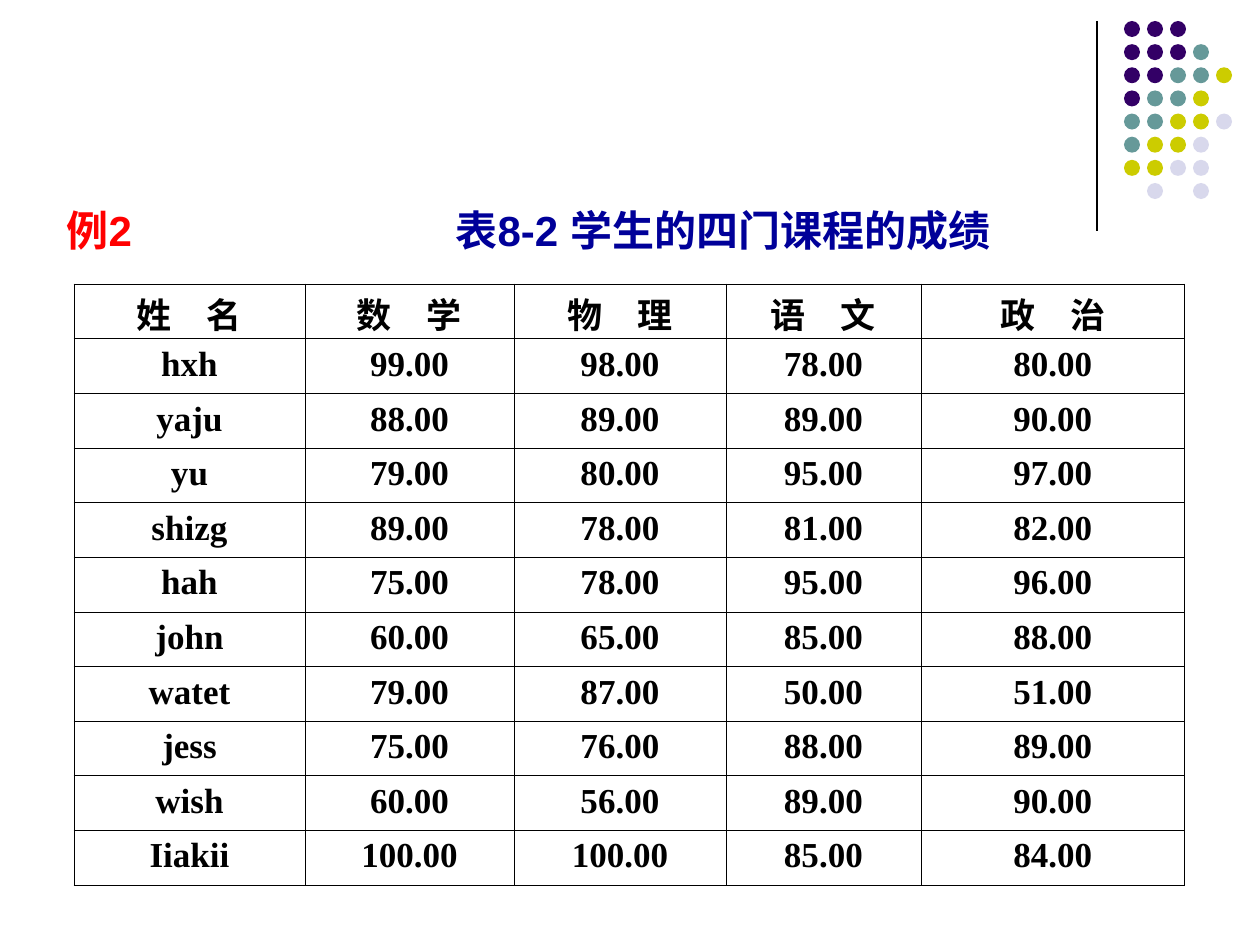
from lxml import etree
from pptx import Presentation
from pptx.dml.color import RGBColor
from pptx.enum.shapes import MSO_CONNECTOR, MSO_SHAPE
from pptx.enum.text import MSO_ANCHOR, MSO_AUTO_SIZE, PP_ALIGN
from pptx.oxml.ns import qn
from pptx.util import Pt

STRAIGHT = MSO_CONNECTOR.STRAIGHT
OVAL = MSO_SHAPE.OVAL
MIDDLE = MSO_ANCHOR.MIDDLE
NO_AUTOFIT = MSO_AUTO_SIZE.NONE
LEFT, CENTER = PP_ALIGN.LEFT, PP_ALIGN.CENTER
TITLE_ONLY = 5

BLACK, RED, NAVY = "000000", "FF0000", "000099"
DOT_COLORS = {"P": "330066", "T": "669999", "Y": "CCCC00", "L": "D8D8EC"}
DOT_ROWS = ["PPP", "PPPT", "PPTTY", "PTTY", "TTYYL", "TYYL", "YYLL", ".L.L"]

HEADERS = ["姓　名", "数　学", "物　理", "语　文", "政　治"]
SCORES = [
    ("hxh", 99, 98, 78, 80),
    ("yaju", 88, 89, 89, 90),
    ("yu", 79, 80, 95, 97),
    ("shizg", 89, 78, 81, 82),
    ("hah", 75, 78, 95, 96),
    ("john", 60, 65, 85, 88),
    ("watet", 79, 87, 50, 51),
    ("jess", 75, 76, 88, 89),
    ("wish", 60, 56, 89, 90),
    ("Iiakii", 100, 100, 85, 84),
]
COLUMN_WIDTHS = [231, 209, 212, 195, 264]


def px(length):
    return round(length * 914400 / 126)


def rgb(color):
    return RGBColor.from_string(color)


def add_text(para, text, font="Arial", size=24, color=BLACK, bold=True):
    span = para.add_run()
    span.text = text
    span.font.name = font
    span.font.size = Pt(size)
    span.font.bold = bold
    span.font.color.rgb = rgb(color)


def add_tab_stops(para, stops):
    tabs = etree.SubElement(para._p.get_or_add_pPr(), qn("a:tabLst"))
    for stop in stops:
        etree.SubElement(tabs, qn("a:tab"), pos=str(px(stop)), algn="l")


def add_rule(page, left, top, height):
    rule = page.shapes.add_connector(
        STRAIGHT, px(left), px(top), px(left), px(top + height))
    rule.line.color.rgb = rgb(BLACK)
    rule.line.width = Pt(0.75)
    etree.SubElement(rule._element.spPr, qn("a:effectLst"))


def add_dots(page, left, top, width, height, size=16):
    group = page.shapes.add_group_shape()
    across = (width - size) / (max(map(len, DOT_ROWS)) - 1)
    down = (height - size) / (len(DOT_ROWS) - 1)
    for row, marks in enumerate(DOT_ROWS):
        for column, mark in enumerate(marks):
            if mark not in DOT_COLORS:
                continue
            dot = group.shapes.add_shape(
                OVAL, px(left + column * across), px(top + row * down),
                px(size), px(size))
            dot.shadow.inherit = False
            dot.fill.solid()
            dot.fill.fore_color.rgb = rgb(DOT_COLORS[mark])
            dot.line.fill.background()


def place_title(page, left, top, width, height):
    title = page.shapes.title
    title.left, title.top = px(left), px(top)
    title.width, title.height = px(width), px(height)
    frame = title.text_frame
    frame.word_wrap = True
    frame.auto_size = NO_AUTOFIT
    frame.vertical_anchor = MIDDLE
    para = frame.paragraphs[0]
    para.alignment = LEFT
    add_tab_stops(para, [389, 504])
    add_text(para, "例2\t", color=RED)
    add_text(para, "表8-2\t学生的四门课程的成绩", color=NAVY)


def draw_borders(cell, color=BLACK, width=0.45):
    properties = cell._tc.get_or_add_tcPr()
    for side in ("a:lnL", "a:lnR", "a:lnT", "a:lnB"):
        line = etree.SubElement(properties, qn(side), w=str(Pt(width)))
        fill = etree.SubElement(line, qn("a:solidFill"))
        etree.SubElement(fill, qn("a:srgbClr"), val=color)


def add_score_table(page, left, top, height):
    rows = [HEADERS] + [
        [name] + [f"{score:.2f}" for score in scores]
        for name, *scores in SCORES]
    table = page.shapes.add_table(
        len(rows), len(HEADERS), px(left), px(top),
        px(sum(COLUMN_WIDTHS)), px(height)).table
    table.horz_banding = False
    for column, width in zip(table.columns, COLUMN_WIDTHS):
        column.width = px(width)
    for row, values in zip(table.rows, rows):
        for cell, value in zip(row.cells, values):
            draw_borders(cell)
            cell.fill.background()
            para = cell.text_frame.paragraphs[0]
            para.alignment = CENTER
            add_text(para, value, font="Times New Roman", size=20)
    # Tighter margins keep the taller header glyphs within the row height
    for cell in table.rows[0].cells:
        cell.margin_top, cell.margin_bottom = px(4), 0


def main():
    deck = Presentation()
    deck.slide_width, deck.slide_height = px(1260), px(945)
    page = deck.slides.add_slide(deck.slide_layouts[TITLE_ONLY])

    # Corner decoration
    add_rule(page, left=1097, top=21, height=210)
    add_dots(page, left=1124, top=21, width=108, height=178)

    # Caption and scores
    place_title(page, left=54, top=198, width=1152, height=63)
    add_score_table(page, left=74, top=284, height=601)
    deck.save("out.pptx")


if __name__ == "__main__":
    main()
